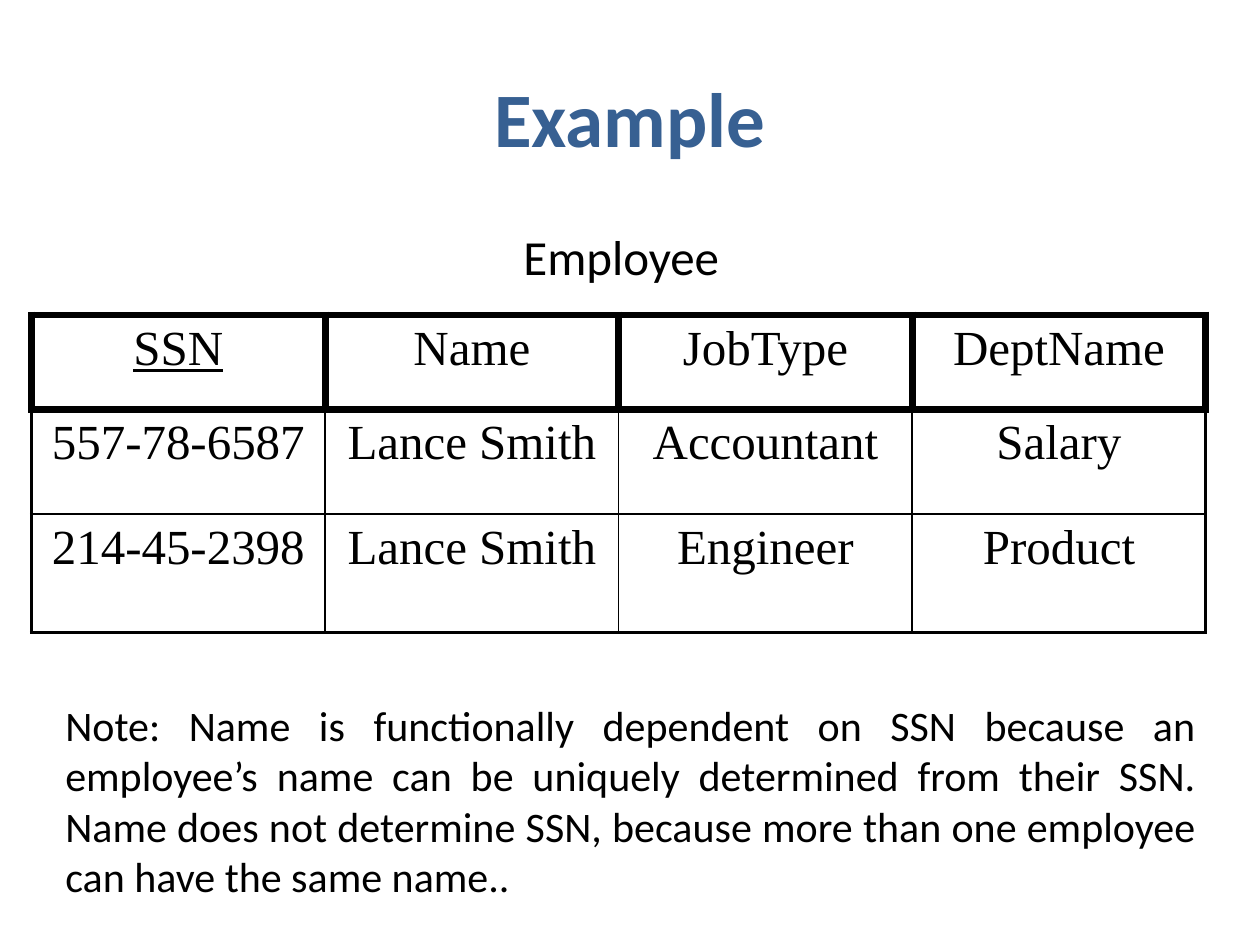
import pptx
import pptx.dml.color
import pptx.enum.text
import pptx.oxml
import pptx.oxml.ns
import pptx.util
from pptx.util import Inches

BLACK = pptx.dml.color.RGBColor(0x00, 0x00, 0x00)
BLUE = pptx.dml.color.RGBColor(0x37, 0x60, 0x92)
ALIGN = pptx.enum.text.PP_ALIGN
ANCHOR = pptx.enum.text.MSO_ANCHOR

TITLE = "Example"
CAPTION = "Employee"
EMPLOYEES = [
    ("SSN", "Name", "JobType", "DeptName"),
    ("557-78-6587", "Lance Smith", "Accountant", "Salary"),
    ("214-45-2398", "Lance Smith", "Engineer", "Product"),
]
NOTE = (
    "Note: Name is functionally dependent on SSN because an employee’s name "
    "can be uniquely determined from their SSN. Name does not determine SSN, "
    "because more than one employee can have the same name.."
)

TABLE_LEFT, TABLE_TOP = 0.25, 2.5
COLUMN_WIDTH = 2.33
ROW_HEIGHTS = (0.75, 0.83, 0.94)
HEADER_LINE, OUTER_LINE, INNER_LINE = 4.5, 2.25, 1


def write_text(frame, text, size=28, font="Calibri", color=BLACK, bold=False,
               underline=False, align=ALIGN.CENTER):
    frame.word_wrap = True
    paragraph = frame.paragraphs[0]
    paragraph.alignment = align
    run = paragraph.add_run()
    run.text = text
    run.font.size = pptx.util.Pt(size)
    run.font.name = font
    run.font.color.rgb = color
    run.font.bold = bold
    run.font.underline = underline


def add_text(slide, box, text, anchor=ANCHOR.TOP, left_inset=0.1, **text_format):
    frame = slide.shapes.add_textbox(*map(Inches, box)).text_frame
    frame.vertical_anchor = anchor
    frame.margin_left = Inches(left_inset)
    write_text(frame, text, **text_format)


def border_widths(row, column):
    """Heavy lines around header cells, medium at the outside, thin within."""
    if row == 0:
        return dict.fromkeys("LRTB", HEADER_LINE)
    last_row, last_column = len(EMPLOYEES) - 1, len(EMPLOYEES[0]) - 1
    return {
        "L": OUTER_LINE if column == 0 else INNER_LINE,
        "R": OUTER_LINE if column == last_column else INNER_LINE,
        "T": HEADER_LINE if row == 1 else INNER_LINE,
        "B": OUTER_LINE if row == last_row else INNER_LINE,
    }


def set_borders(cell, widths):
    properties = cell._tc.get_or_add_tcPr()
    namespace = pptx.oxml.ns.nsdecls("a")
    for position, (side, width) in enumerate(widths.items()):
        line = pptx.oxml.parse_xml(
            f'<a:ln{side} {namespace} w="{pptx.util.Pt(width)}">'
            f'<a:solidFill><a:srgbClr val="{BLACK}"/></a:solidFill></a:ln{side}>'
        )
        properties.insert(position, line)


def add_employee_table(slide):
    column_count = len(EMPLOYEES[0])
    table = slide.shapes.add_table(
        len(EMPLOYEES), column_count, Inches(TABLE_LEFT), Inches(TABLE_TOP),
        Inches(COLUMN_WIDTH * column_count), Inches(sum(ROW_HEIGHTS)),
    ).table
    table.horz_banding = False
    for column in table.columns:
        column.width = Inches(COLUMN_WIDTH)
    for row, (height, values) in enumerate(zip(ROW_HEIGHTS, EMPLOYEES)):
        table.rows[row].height = Inches(height)
        for column, value in enumerate(values):
            cell = table.cell(row, column)
            cell.fill.background()
            write_text(cell.text_frame, value, font="Times New Roman",
                       underline=value == "SSN")
            set_borders(cell, border_widths(row, column))


def main():
    presentation = pptx.Presentation()
    presentation.slide_width = Inches(10)
    presentation.slide_height = Inches(7.5)
    slide = presentation.slides.add_slide(presentation.slide_layouts[6])
    add_text(slide, (0.5, 0.3, 9, 1.25), TITLE, anchor=ANCHOR.MIDDLE,
             size=44, color=BLUE, bold=True)
    add_text(slide, (0, 1.75, 9.58, 0.92), CAPTION, left_inset=0.38)
    add_employee_table(slide)
    add_text(slide, (0.42, 5.5, 9.17, 1.72), NOTE, size=24, align=ALIGN.JUSTIFY)
    presentation.save("out.pptx")


if __name__ == "__main__":
    main()
